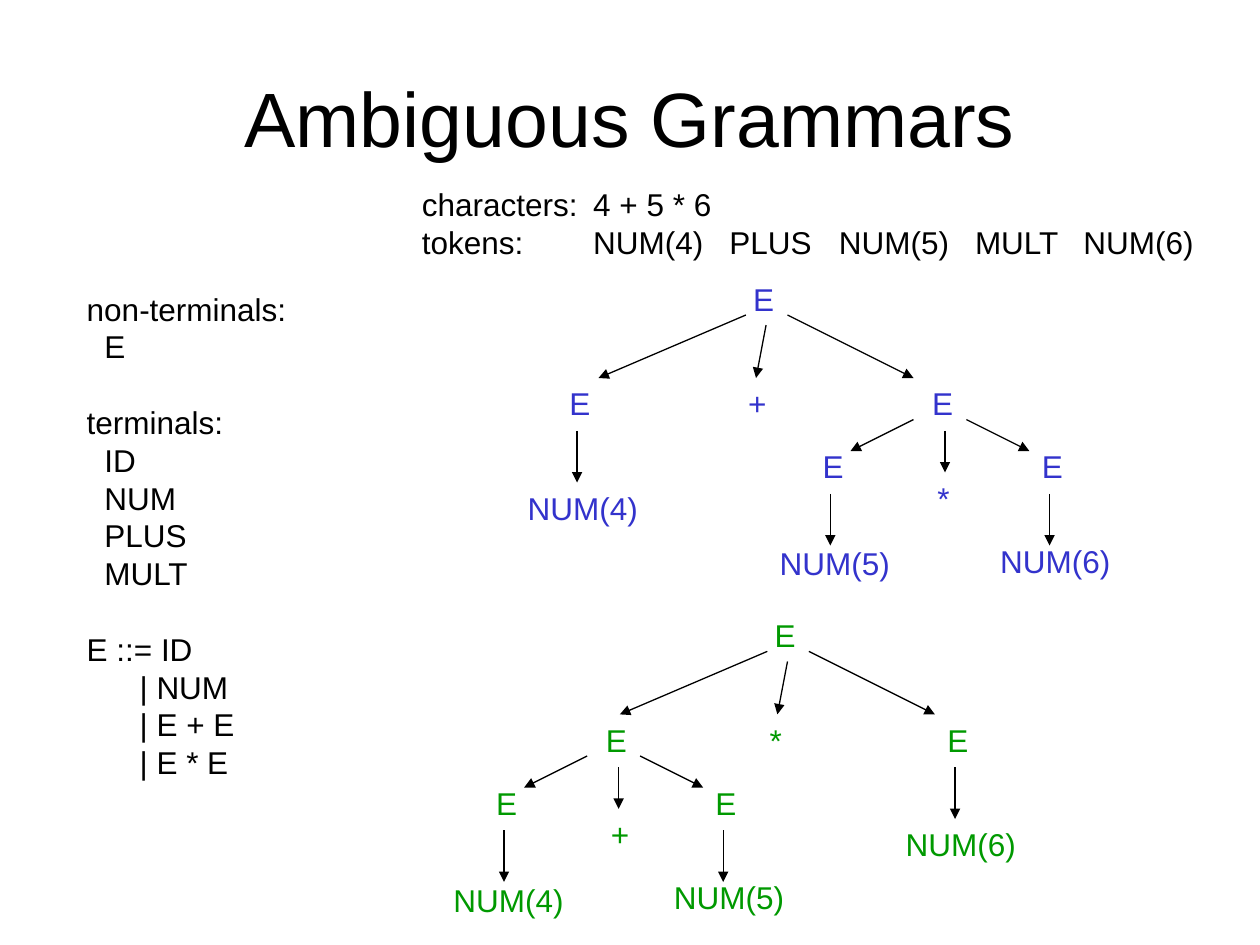
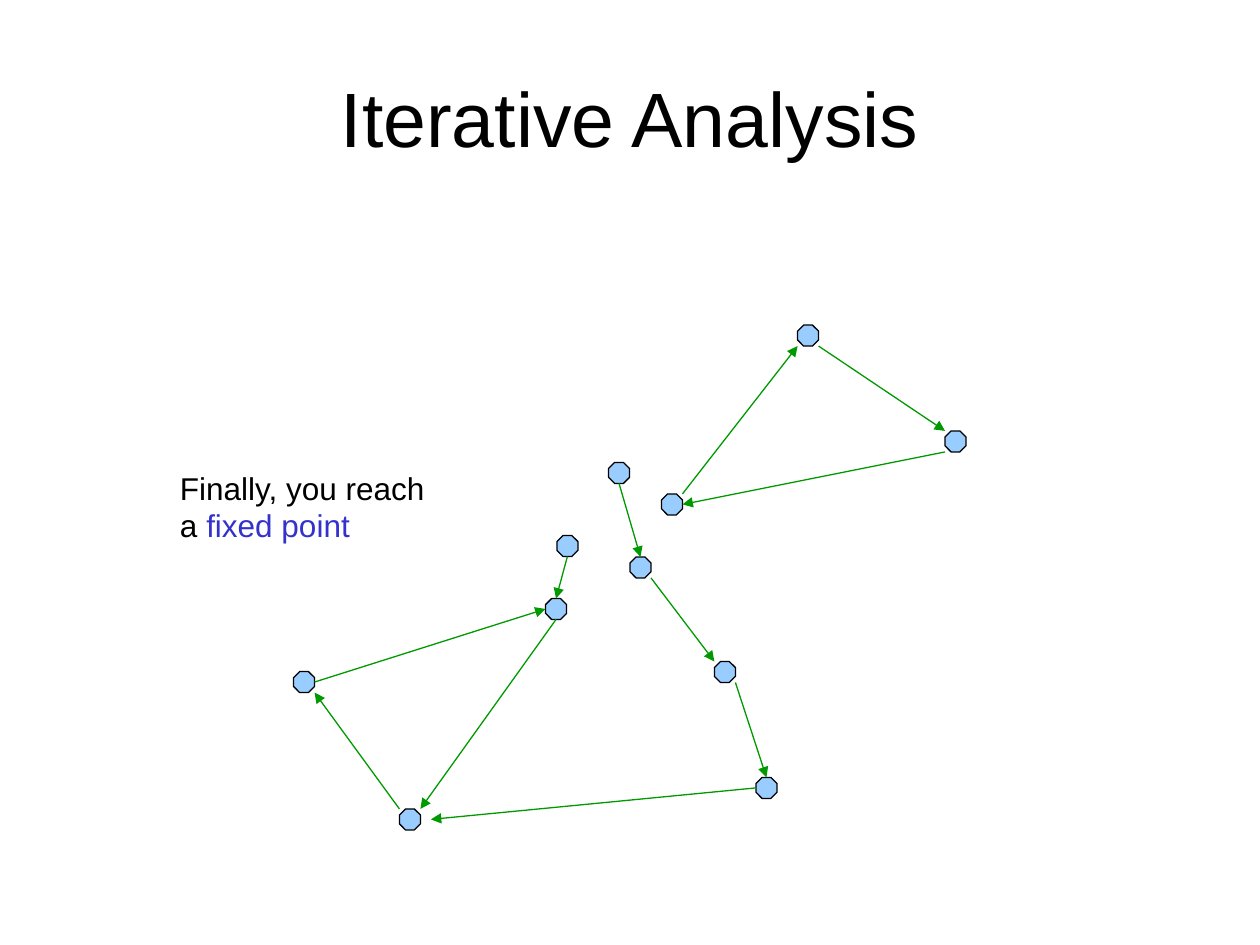
"""Build two lecture slides: ambiguous grammars and iterative analysis."""
from dataclasses import dataclass

from lxml.etree import SubElement as Sub
from pptx import Presentation
from pptx.dml.color import RGBColor as Rgb
from pptx.enum.shapes import MSO_CONNECTOR as Conn, MSO_SHAPE as Shape
from pptx.enum.text import MSO_ANCHOR as Anchor, PP_ALIGN as Align
from pptx.oxml.ns import qn
from pptx.slide import Slide
from pptx.util import Inches, Pt

BLACK, BLUE, GREEN, SKY = "000000", "3333CC", "009900", "99CCFF"
FONT = "Arial"
LINE = Pt(21.6)
THIN = Pt(0.75)
NODE = 1 / 6
WIDTHS = {"E": 0.4, "+": 0.4, "*": 0.35}
WIDE = 1.2
MOVES = {"n": (0, -1), "s": (0, 1), "e": (1, 0), "w": (-1, 0)}


@dataclass
class Row:
    """One line of text with its indent, gap above and accented end."""
    text: str
    indent: float = 0
    gap: bool = False
    accent: str = ""


@dataclass
class Label:
    """A short text at its left and top."""
    text: str
    x: float
    y: float


@dataclass
class Arrow:
    """A straight arrow between two points."""
    x1: float
    y1: float
    x2: float
    y2: float


@dataclass
class Tree:
    """A parse tree: shifts of its parts, operators and numbers."""
    hue: str
    drop: float
    root: float
    lone: float
    pair: float
    ops: tuple[str, str]
    nums: tuple[str, str, str]


@dataclass
class Link:
    """An arrow from a side of one node to a side of another."""
    start: str
    out: str
    end: str
    into: str


TREES = [
    Tree(BLUE, 0, 0, 0, 0, ("+", "*"), ("4", "5", "6")),
    Tree(GREEN, 2.67, 0.17, 3, -2.59, ("*", "+"), ("6", "4", "5")),
]

ROOT = [Arrow(5.92, 2.5, 4.75, 3), Arrow(6.08, 2.58, 6, 3),
        Arrow(6.25, 2.5, 7.25, 3)]
LONE = [Arrow(4.58, 3.42, 4.58, 3.83)]
PAIR = [Arrow(7.25, 3.33, 6.75, 3.58), Arrow(7.5, 3.42, 7.5, 3.75),
        Arrow(7.67, 3.33, 8.17, 3.58), Arrow(6.59, 3.92, 6.59, 4.33),
        Arrow(8.33, 3.92, 8.33, 4.33)]

RULES = [
    Row("non-terminals:"), Row("E", 0.14),
    Row("terminals:", gap=True),
    *(Row(name, 0.14) for name in ("ID", "NUM", "PLUS", "MULT")),
    Row("E ::= ID", gap=True),
    *(Row(f"| {form}", 0.42) for form in ("NUM", "E + E", "E * E")),
]
HEADS = [Row("characters:"), Row("tokens:")]
FIRST = [Row("4 + 5 * 6"), Row("NUM(4)")]
TOKENS = [Label("PLUS", 5.69, 1.72), Label("NUM(5)", 6.56, 1.72),
          Label("MULT", 7.64, 1.72), Label("NUM(6)", 8.5, 1.72)]

NODES = {
    "top": (6.33, 2.58), "right": (7.5, 3.42), "hub": (5.25, 3.92),
    "head": (4.83, 3.67), "second": (5, 4.42), "third": (5.67, 5.25),
    "last": (6, 6.17), "base": (3.17, 6.42), "left": (2.33, 5.33),
    "join": (4.33, 4.75), "entry": (4.42, 4.25),
}
LINKS = [
    Link("hub", "ne", "top", "sw"), Link("top", "se", "right", "nw"),
    Link("right", "sw", "hub", "e"), Link("head", "s", "second", "n"),
    Link("second", "se", "third", "nw"), Link("third", "se", "last", "n"),
    Link("last", "w", "base", "ee"), Link("base", "nw", "left", "se"),
    Link("left", "e", "join", "w"), Link("join", "s", "base", "ne"),
    Link("entry", "s", "join", "n"),
]


def rgb(code: str) -> Rgb:
    """Turn a hex string into a colour."""
    return Rgb.from_string(code)


def add_title(slide: Slide, text: str) -> None:
    """Draw the centred slide title."""
    box = slide.shapes.add_textbox(Inches(0.5), Inches(0.3), Inches(9), Inches(1.25))
    frame = box.text_frame
    frame.word_wrap = True
    frame.vertical_anchor = Anchor.MIDDLE
    para = frame.paragraphs[0]
    para.text = text
    para.alignment = Align.CENTER
    para.font.name, para.font.size = FONT, Pt(44)
    para.font.color.rgb = rgb(BLACK)


def add_text(slide: Slide, rows: list[Row], x: float, y: float, w: float,
             h: float, hue: str = BLACK) -> None:
    """Draw a text box, one paragraph a row."""
    box = slide.shapes.add_textbox(Inches(x), Inches(y), Inches(w), Inches(h))
    frame = box.text_frame
    frame.word_wrap = True
    for i, row in enumerate(rows):
        para = frame.add_paragraph() if i else frame.paragraphs[0]
        para.add_run().text = row.text
        if row.accent:
            run = para.add_run()
            run.text = row.accent
            run.font.color.rgb = rgb(BLUE)
        para.line_spacing = LINE
        if row.gap:
            para.space_before = LINE
        if row.indent:
            props = para._p.get_or_add_pPr()
            props.set("marL", str(Inches(row.indent)))
            props.set("indent", "0")
        para.font.name, para.font.size = FONT, Pt(18)
        para.font.color.rgb = rgb(hue)


def add_label(slide: Slide, item: Label, hue: str = BLACK,
              dx: float = 0, dy: float = 0) -> None:
    """Draw a one-line label, shifted if asked."""
    add_text(slide, [Row(item.text)], item.x + dx, item.y + dy,
             WIDTHS.get(item.text, WIDE), 0.4, hue)


def add_arrow(slide: Slide, arrow: Arrow, hue: str = BLACK) -> None:
    """Draw a thin arrow with a triangle at its end."""
    ends = (arrow.x1, arrow.y1, arrow.x2, arrow.y2)
    conn = slide.shapes.add_connector(Conn.STRAIGHT, *(Inches(v) for v in ends))
    conn.line.color.rgb = rgb(hue)
    conn.line.width = THIN
    props = conn._element.spPr
    Sub(props.find(qn("a:ln")), qn("a:tailEnd"), type="triangle")
    Sub(props, qn("a:effectLst"))


def add_tree(slide: Slide, tree: Tree) -> None:
    """Draw a whole parse tree."""
    main, inner = tree.ops
    lone, left, right = (f"NUM({num})" for num in tree.nums)
    dy = tree.drop
    parts = [
        ([Label("E", 5.88, 2.17), Label(main, 5.84, 3)], ROOT, tree.root),
        ([Label("E", 4.42, 3), Label(lone, 4.09, 3.83)], LONE, tree.lone),
        ([Label("E", 7.3, 3), Label(inner, 7.34, 3.75), Label("E", 6.43, 3.5),
          Label("E", 8.17, 3.5), Label(left, 6.09, 4.27),
          Label(right, 7.84, 4.25)], PAIR, tree.pair),
    ]
    for labels, arrows, dx in parts:
        for item in labels:
            add_label(slide, item, tree.hue, dx, dy)
        for a in arrows:
            add_arrow(slide, Arrow(a.x1 + dx, a.y1 + dy, a.x2 + dx, a.y2 + dy))


def add_node(slide: Slide, x: float, y: float) -> None:
    """Draw a graph node."""
    node = slide.shapes.add_shape(Shape.OCTAGON, Inches(x), Inches(y),
                                  Inches(NODE), Inches(NODE))
    node.shadow.inherit = False
    node.adjustments[0] = 0.29
    node.fill.solid()
    node.fill.fore_color.rgb = rgb(SKY)
    node.line.color.rgb = rgb(BLACK)
    node.line.width = THIN


def find_side(name: str, side: str) -> tuple[float, float]:
    """Give the point on a side of a node, half a node a letter."""
    x, y = NODES[name]
    dx = sum(MOVES[step][0] for step in side)
    dy = sum(MOVES[step][1] for step in side)
    return x + NODE / 2 * (1 + dx), y + NODE / 2 * (1 + dy)


def draw_grammar(slide: Slide) -> None:
    """Fill the slide on ambiguous grammars."""
    add_title(slide, "Ambiguous Grammars")
    add_text(slide, RULES, 0.59, 2.25, 1.9, 4)
    add_text(slide, HEADS, 3.25, 1.42, 1.5, 0.7)
    add_text(slide, FIRST, 4.61, 1.42, WIDE, 0.7)
    for item in TOKENS:
        add_label(slide, item)
    for tree in TREES:
        add_tree(slide, tree)


def draw_graph(slide: Slide) -> None:
    """Fill the slide on iterative analysis."""
    add_title(slide, "Iterative Analysis")
    rows = [Row("Finally, you reach"), Row("a ", accent="fixed point")]
    add_text(slide, rows, 1.33, 3.67, 2.25, 0.7)
    for x, y in NODES.values():
        add_node(slide, x, y)
    for link in LINKS:
        ends = find_side(link.start, link.out) + find_side(link.end, link.into)
        add_arrow(slide, Arrow(*ends), GREEN)


def main() -> None:
    """Build and save the slides."""
    deck = Presentation()
    deck.slide_width, deck.slide_height = Inches(10), Inches(7.5)
    for draw in (draw_grammar, draw_graph):
        draw(deck.slides.add_slide(deck.slide_layouts[6]))
    deck.save("out.pptx")


if __name__ == "__main__":
    main()
